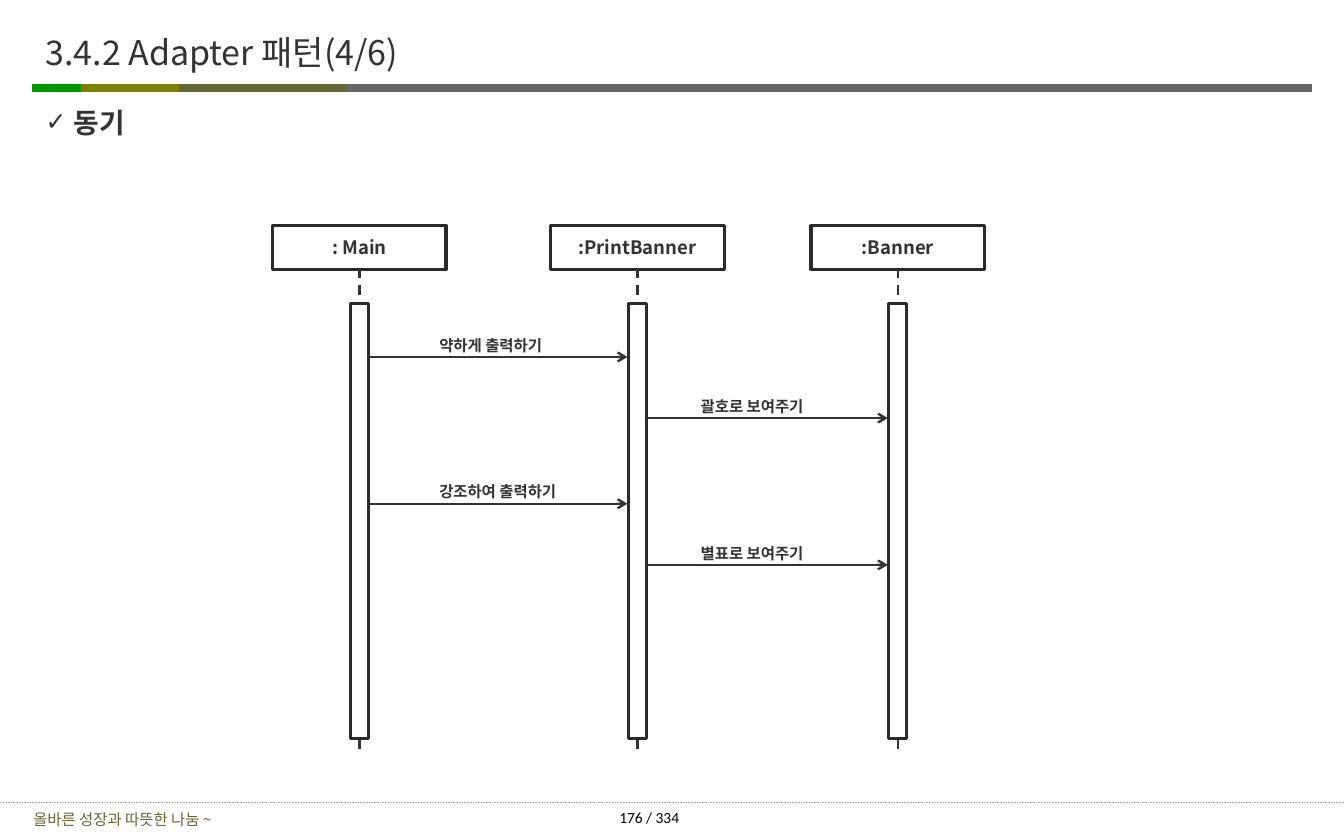
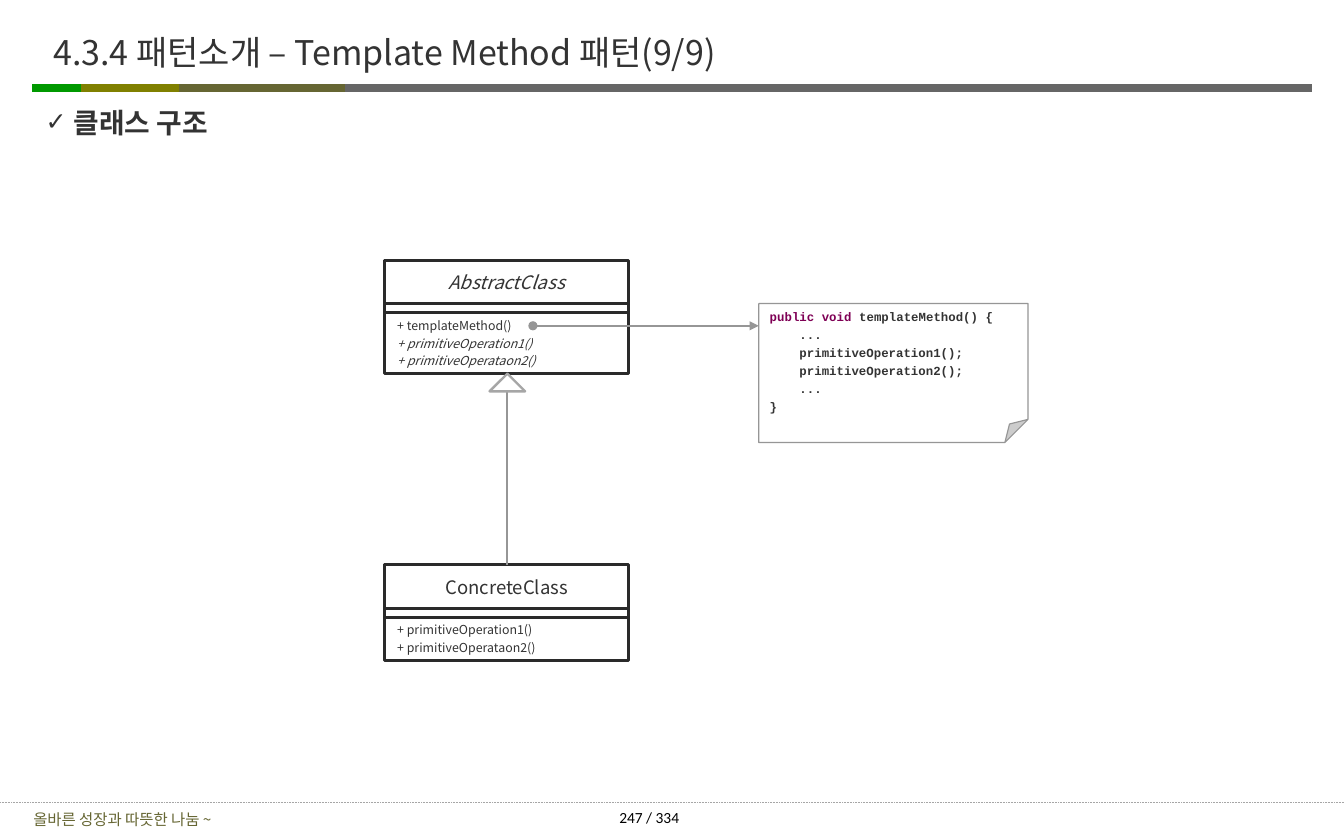
from lxml.etree import SubElement
from pptx import Presentation
from pptx.dml.color import RGBColor
from pptx.enum.dml import MSO_LINE
from pptx.enum.shapes import MSO_CONNECTOR, MSO_SHAPE
from pptx.enum.text import MSO_ANCHOR, MSO_AUTO_SIZE, PP_ALIGN
from pptx.oxml.ns import qn
from pptx.util import Inches, Pt

COLORS = {
    "text": "333333", "outline": "2A2A2A", "paper": "FFFFFF", "black": "000000",
    "green": "009900", "olive": "808000", "moss": "666633", "bar": "666666",
    "link": "969696", "pale": "A6A6A6", "keyword": "7F0055",
}
KOREAN = "Noto Sans CJK KR"
LABEL = "Lato"
CODE = "Courier New"


def color(name):
    return RGBColor.from_string(COLORS[name])


def style(paragraph, size, face=KOREAN, tint="text", bold=False, italic=False,
          align=PP_ALIGN.LEFT, before=0):
    paragraph.alignment = align
    paragraph.space_before = Pt(before)
    font = paragraph.font
    font.size, font.bold, font.italic = Pt(size), bold, italic
    font.color.rgb = color(tint)
    font.name = face
    latin = paragraph._p.pPr.find(qn("a:defRPr")).find(qn("a:latin"))
    east = latin.makeelement(qn("a:ea"), {"typeface": KOREAN})
    latin.addnext(east)


def set_frame(frame, side=0.1, edge=0.05, anchor=MSO_ANCHOR.TOP, wrap=True):
    frame.auto_size = MSO_AUTO_SIZE.NONE
    frame.word_wrap = wrap
    frame.vertical_anchor = anchor
    frame.margin_left = frame.margin_right = Inches(side)
    frame.margin_top = frame.margin_bottom = Inches(edge)


def place(shape, left, top, width, height):
    shape.left, shape.top = Inches(left), Inches(top)
    shape.width, shape.height = Inches(width), Inches(height)


def add_line(page, start, end, tint="text", weight=1.5, dash=None, head=None, tail=None):
    points = [Inches(value) for value in (*start, *end)]
    connector = page.shapes.add_connector(MSO_CONNECTOR.STRAIGHT, *points)
    connector.line.color.rgb = color(tint)
    connector.line.width = Pt(weight)
    if dash:
        connector.line.dash_style = dash
    properties = connector.element.spPr
    for tag, kind in (("a:headEnd", head), ("a:tailEnd", tail)):
        if kind:
            SubElement(properties.find(qn("a:ln")), qn(tag), type=kind)
    SubElement(properties, qn("a:effectLst"))
    return connector


def add_outline(page, box, kind=MSO_SHAPE.RECTANGLE, tint="outline", weight=2):
    shape = page.shapes.add_shape(kind, *[Inches(value) for value in box])
    shape.shadow.inherit = False
    shape.fill.solid()
    shape.fill.fore_color.rgb = color("paper")
    shape.line.color.rgb = color(tint)
    shape.line.width = Pt(weight)
    return shape


def add_label(page, box, text, size=10, anchor=MSO_ANCHOR.TOP, **look):
    label = page.shapes.add_textbox(*[Inches(value) for value in box])
    set_frame(label.text_frame, anchor=anchor)
    paragraph = label.text_frame.paragraphs[0]
    paragraph.text = text
    style(paragraph, size, **look)
    return label


def add_name_box(page, box, name, **look):
    shape = add_outline(page, box)
    set_frame(shape.text_frame, 0.11, anchor=MSO_ANCHOR.MIDDLE, wrap=False)
    paragraph = shape.text_frame.paragraphs[0]
    paragraph.text = name
    style(paragraph, 12, align=PP_ALIGN.CENTER, **look)


def dress_layout(layout, page):
    bands = [(2.98, 11.79, "bar"), (0.29, 1.09, "green"),
             (0.73, 1.66, "olive"), (1.61, 3.1, "moss")]
    parts = [add_line(page, (left, 0.79), (right, 0.79), tint, 5)
             for left, right, tint in bands]
    parts.append(add_line(page, (0, 7.22), (12.08, 7.22), "pale", 0.5, MSO_LINE.ROUND_DOT))
    parts.append(add_label(page, (0, 7.24, 2.2, 0.26), "올바른 성장과 따뜻한 나눔 ~",
                           anchor=MSO_ANCHOR.MIDDLE, tint="moss", align=PP_ALIGN.CENTER))
    for number, part in enumerate(parts, 100):
        part.element.xpath(".//p:cNvPr")[0].set("id", str(number))
        layout.shapes.element.append(part.element)


def fill_page(page, title, heading, number, title_margins):
    title_box, body = page.shapes.title, page.placeholders[1]
    place(title_box, 0.37, 0.15, 10, 0.63)
    set_frame(title_box.text_frame, *title_margins, anchor=MSO_ANCHOR.MIDDLE)
    title_box.text_frame.text = title
    style(title_box.text_frame.paragraphs[0], 22)

    place(body, 0.37, 0.91, 11.5, 1.23)
    set_frame(body.text_frame, 0.04, 0.04)
    body.text_frame.text = heading
    paragraph = body.text_frame.paragraphs[0]
    properties = paragraph._p.get_or_add_pPr()
    properties.set("marL", str(Inches(0.25)))
    properties.set("indent", str(Inches(-0.25)))
    bullet_color = SubElement(properties, qn("a:buClr"))
    SubElement(bullet_color, qn("a:srgbClr"), val=COLORS["text"])
    SubElement(properties, qn("a:buSzPct"), val="90000")
    SubElement(properties, qn("a:buChar"), char="✓")
    style(paragraph, 18, bold=True)

    add_label(page, (5.22, 7.22, 1.23, 0.27), f"{number} / 334",
              face="Calibri", tint="black", align=PP_ALIGN.CENTER)


def draw_sequence(page, left, top):
    centers = [left + offset for offset in (0.78, 3.28, 5.62)]
    for center, name in zip(centers, (": Main", ":PrintBanner", ":Banner")):
        add_name_box(page, (center - 0.78, top, 1.56, 0.39), name, bold=True)
        add_line(page, (center, top + 0.39), (center, top + 4.77), dash=MSO_LINE.DASH)
        add_outline(page, (center - 0.08, top + 0.7, 0.16, 3.91))
    messages = [(0, 1.18, "약하게 출력하기"), (1, 1.73, "괄호로 보여주기"),
                (0, 2.5, "강조하여 출력하기"), (1, 3.05, "별표로 보여주기")]
    label_offsets = (0.62, 0.47)
    for sender, drop, text in messages:
        height = top + drop
        add_line(page, (centers[sender] + 0.09, height),
                 (centers[sender + 1] - 0.09, height), tail="arrow")
        add_label(page, (centers[sender] + label_offsets[sender], height - 0.24, 1.36, 0.27),
                  text, face=LABEL, bold=True)


def draw_class(page, left, top, name, operations, abstract=False):
    width = 2.19
    add_name_box(page, (left, top, width, 0.39), name, italic=abstract)
    add_outline(page, (left, top + 0.39, width, 0.08))
    height = 0.07 + 0.16 * len(operations)
    shape = add_outline(page, (left, top + 0.47, width, height))
    frame = shape.text_frame
    set_frame(frame, 0.11, anchor=MSO_ANCHOR.MIDDLE, wrap=False)
    for index, operation in enumerate(operations):
        paragraph = frame.add_paragraph() if index else frame.paragraphs[0]
        paragraph.text = f"+ {operation}()"
        style(paragraph, 8, italic=abstract and operation != "templateMethod",
              before=2 if index else 0)


def draw_code_note(page, box):
    note = add_outline(page, box, MSO_SHAPE.FOLDED_CORNER, "link", 0.75)
    frame = note.text_frame
    set_frame(frame, anchor=MSO_ANCHOR.MIDDLE)
    lines = [
        [("public void ", "keyword"), ("templateMethod() {", "text")],
        [("    ...", "text")],
        [("    primitiveOperation1();", "text")],
        [("    primitiveOperation2();", "text")],
        [("    ...", "text")],
        [("}", "text")],
    ]
    for index, spans in enumerate(lines):
        paragraph = frame.add_paragraph() if index else frame.paragraphs[0]
        style(paragraph, 8, face=CODE, bold=True, before=2 if index else 0)
        for text, tint in spans:
            span = paragraph.add_run()
            span.text = text
            span.font.color.rgb = color(tint)


def draw_class_structure(page, left, top):
    primitives = ["primitiveOperation1", "primitiveOperataon2"]
    draw_class(page, left, top, "AbstractClass", ["templateMethod", *primitives], True)
    draw_class(page, left, top + 2.74, "ConcreteClass", primitives)
    middle, joint = left + 1.1, top + 1.02
    add_line(page, (middle, top + 2.74), (middle, joint), "link")
    add_outline(page, (middle - 0.16, joint, 0.32, 0.16),
                MSO_SHAPE.ISOSCELES_TRIANGLE, "pale", 1.5)
    add_line(page, (left + 1.33, top + 0.59), (left + 3.36, top + 0.59), "link",
             head="oval", tail="triangle")
    draw_code_note(page, (left + 3.36, top + 0.39, 2.42, 1.25))


def main():
    deck = Presentation()
    deck.slide_width, deck.slide_height = Inches(12.08), Inches(7.5)
    layout = deck.slide_layouts[1]
    sequence_page, structure_page = [deck.slides.add_slide(layout) for _ in range(2)]
    dress_layout(layout, sequence_page)

    fill_page(sequence_page, "3.4.2 Adapter 패턴(4/6)", "동기", 176, (0.04, 0.04))
    draw_sequence(sequence_page, 2.45, 2.03)

    fill_page(structure_page, "4.3.4 패턴소개 – Template Method 패턴(9/9)",
              "클래스 구조", 247, (0.11, 0.06))
    draw_class_structure(structure_page, 3.46, 2.34)
    deck.save("out.pptx")


if __name__ == "__main__":
    main()
